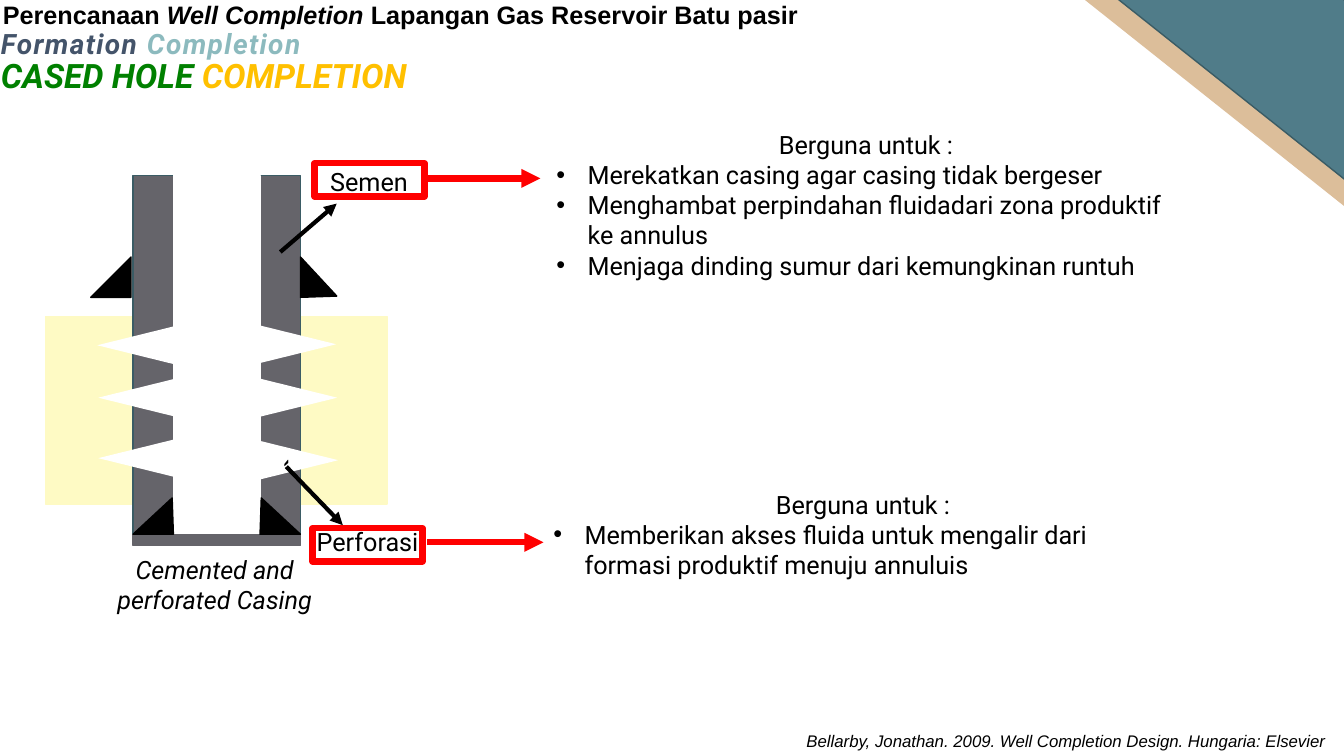
"""Build the cased hole completion slide with its well diagram."""
from lxml import etree
from pptx import Presentation
from pptx.dml.color import RGBColor
from pptx.enum import shapes as es, text as et
from pptx.oxml.ns import qn
from pptx.util import Inches, Pt

THEME = {
    "black": "000000", "white": "FFFFFF", "red": "FF0000", "steel": "65646A",
    "zone": "FEFAC4", "sand": "DCBE9A", "teal": "507C89", "edge": "3B5C65",
    "navy": "44546A", "aqua": "8CBABE", "green": "008000", "gold": "FFC000",
    "body": 18, "title": 24, "subtitle": 20, "source": 12,
    "head_font": "Arial", "body_font": "Roboto",
}
RECT = es.MSO_SHAPE.RECTANGLE
TRI = es.MSO_SHAPE.ISOSCELES_TRIANGLE

BLOCKS = [
    (0.45, 3.14, 3.39, 1.86, 0, "zone", "zone"),
    (11.78, -1.66, 0.94, 4.47, 128.5, "sand", "sand"),
    (12.13, -2.09, 1.39, 5.15, 128.5, "teal", "edge"),
    (1.32, 1.74, 1.66, 3.56, 0, "steel", "edge"),
    (1.72, 1.74, 0.86, 3.56, 0, "white", "white"),
    (1.32, 5.3, 1.66, 0.11, 0, "steel", "steel"),
]
SHOES = [
    (0.9, 2.55, 0.4, 0.4, 0, False, 1),
    (2.96, 2.57, 0.4, 0.36, 90, False, 0.97),
    (1.32, 4.94, 0.4, 0.36, 0, False, 0.97),
    (2.58, 4.94, 0.4, 0.36, 0, True, 0.97),
]
PERF_SIZE = (0.38, 0.77)
PERFORATIONS = [
    ((1.16, 3.04), (2.76, 3.03), ""),
    ((1.17, 3.56), (2.77, 3.56), ""),
    ((1.17, 4.16), (2.78, 4.18), "`"),
]
FRAMES = [(3.12, 1.62), (3.1, 5.24)]
FRAME_SIZE = (1.09, 0.33)
ARROWS = [
    (2.78, 2.5, 3.34, 2.02, "black", 3),
    (2.84, 4.63, 3.4, 5.21, "black", 3),
    (4.21, 1.77, 5.36, 1.77, "red", 4.5),
    (4.24, 5.38, 5.39, 5.38, "red", 4.5),
]
LABELS = [
    (0.9, 5.45, 2.46, 0.71, "Cemented and perforated Casing", True),
    (3.07, 1.6, 1.18, 0.4, "Semen", False),
    (3.04, 5.17, 1.21, 0.4, "Perforasi", False),
]
USES = [
    (5.42, 1.23, 6.34, 1.62, [
        "Merekatkan casing agar casing tidak bergeser",
        "Menghambat perpindahan fluidadari zona produktif ke annulus",
        "Menjaga dinding sumur dari kemungkinan runtuh"]),
    (5.39, 4.8, 6.34, 1.31, [
        "Memberikan akses fluida untuk mengalir dari formasi produktif menuju annuluis"]),
]
USES_HEAD = "Berguna untuk :"
HEADINGS = [
    (7.9, 7.2, 5.4, 0.3, "head_font", "source", 0, [
        ("Bellarby, Jonathan. 2009. Well Completion Design. Hungaria: Elsevier",
         "black", False, True)]),
    (-0.09, 0.21, 4.45, 0.44, "body_font", "subtitle", 1, [
        ("Formation ", "navy", True, True), ("Completion", "aqua", True, True)]),
    (-0.07, -0.06, 11.59, 0.4, "head_font", "body", 0, [
        ("Perencanaan ", "black", True, False),
        ("Well Completion ", "black", True, True),
        ("Lapangan Gas Reservoir Batu pasir", "black", True, False)]),
    (-0.09, 0.5, 8.82, 0.5, "body_font", "title", 0, [
        ("CASED HOLE ", "green", True, True), ("COMPLETION", "gold", True, True)]),
]


def color(name):
    return RGBColor.from_string(THEME[name])


def add_shape(s, kind, box, fill=None, line=None, width=1, rot=0, flip=False):
    sp = s.shapes.add_shape(kind, *map(Inches, box))
    sp.shadow.inherit = False
    sp.rotation = rot
    if flip:
        sp._element.spPr.find(qn("a:xfrm")).set("flipH", "1")
    if fill:
        sp.fill.solid()
        sp.fill.fore_color.rgb = color(fill)
    else:
        sp.fill.background()
    if line:
        sp.line.color.rgb = color(line)
        sp.line.width = Pt(width)
    else:
        sp.line.fill.background()
    return sp


def add_arrow(s, x1, y1, x2, y2, hue, width):
    cn = s.shapes.add_connector(es.MSO_CONNECTOR.STRAIGHT, *map(Inches, (x1, y1, x2, y2)))
    cn.line.color.rgb = color(hue)
    cn.line.width = Pt(width)
    etree.SubElement(cn.line._get_or_add_ln(), qn("a:tailEnd"), type="triangle")
    etree.SubElement(cn._element.spPr, qn("a:effectLst"))


def add_text(s, box):
    tf = s.shapes.add_textbox(*map(Inches, box)).text_frame
    tf.word_wrap = True
    return tf


def add_run(p, words, font="body_font", size="body", hue="black", bold=False,
            italic=False, spacing=0):
    r = p.add_run()
    r.text = words
    values = {"name": THEME[font], "size": Pt(THEME[size]), "bold": bold, "italic": italic}
    for key, value in values.items():
        setattr(r.font, key, value)
    r.font.color.rgb = color(hue)
    if spacing:
        r._r.get_or_add_rPr().set("spc", str(spacing * 100))


def add_bullet(p, indent=0.31):
    pPr = p._p.get_or_add_pPr()
    pPr.set("marL", str(Inches(indent)))
    pPr.set("indent", str(-Inches(indent)))
    etree.SubElement(pPr, qn("a:buFont"), typeface=THEME["head_font"])
    etree.SubElement(pPr, qn("a:buChar"), char="•")


def draw_well(s):
    for *box, rot, fill, line in BLOCKS:
        add_shape(s, RECT, box, fill, line, rot=rot)
    for *box, rot, flip, apex in SHOES:
        sp = add_shape(s, TRI, box, "black", "black", rot=rot, flip=flip)
        sp.adjustments[0] = apex
    for left, right, mark in PERFORATIONS:
        add_shape(s, TRI, left + PERF_SIZE, "white", rot=270)
        sp = add_shape(s, TRI, right + PERF_SIZE, "white", rot=90, flip=True)
        if mark:
            sp.text_frame.vertical_anchor = et.MSO_ANCHOR.MIDDLE
            p = sp.text_frame.paragraphs[0]
            p.alignment = et.PP_ALIGN.CENTER
            add_run(p, mark, "head_font", bold=True)


def draw_notes(s):
    for *box, words, italic in LABELS:
        p = add_text(s, box).paragraphs[0]
        p.alignment = et.PP_ALIGN.CENTER
        add_run(p, words, italic=italic)
    for corner in FRAMES:
        add_shape(s, RECT, corner + FRAME_SIZE, line="red", width=4.5)
    for arrow in ARROWS:
        add_arrow(s, *arrow)
    for *box, items in USES:
        tf = add_text(s, box)
        p = tf.paragraphs[0]
        p.alignment = et.PP_ALIGN.CENTER
        add_run(p, USES_HEAD)
        for item in items:
            p = tf.add_paragraph()
            add_bullet(p)
            add_run(p, item)
    for *box, font, size, spacing, runs in HEADINGS:
        p = add_text(s, box).paragraphs[0]
        for words, hue, bold, italic in runs:
            add_run(p, words, font, size, hue, bold, italic, spacing)


def main():
    prs = Presentation()
    prs.slide_width, prs.slide_height = Inches(13.33), Inches(7.5)
    s = prs.slides.add_slide(prs.slide_layouts[6])
    draw_well(s)
    draw_notes(s)
    prs.save("out.pptx")


if __name__ == "__main__":
    main()
